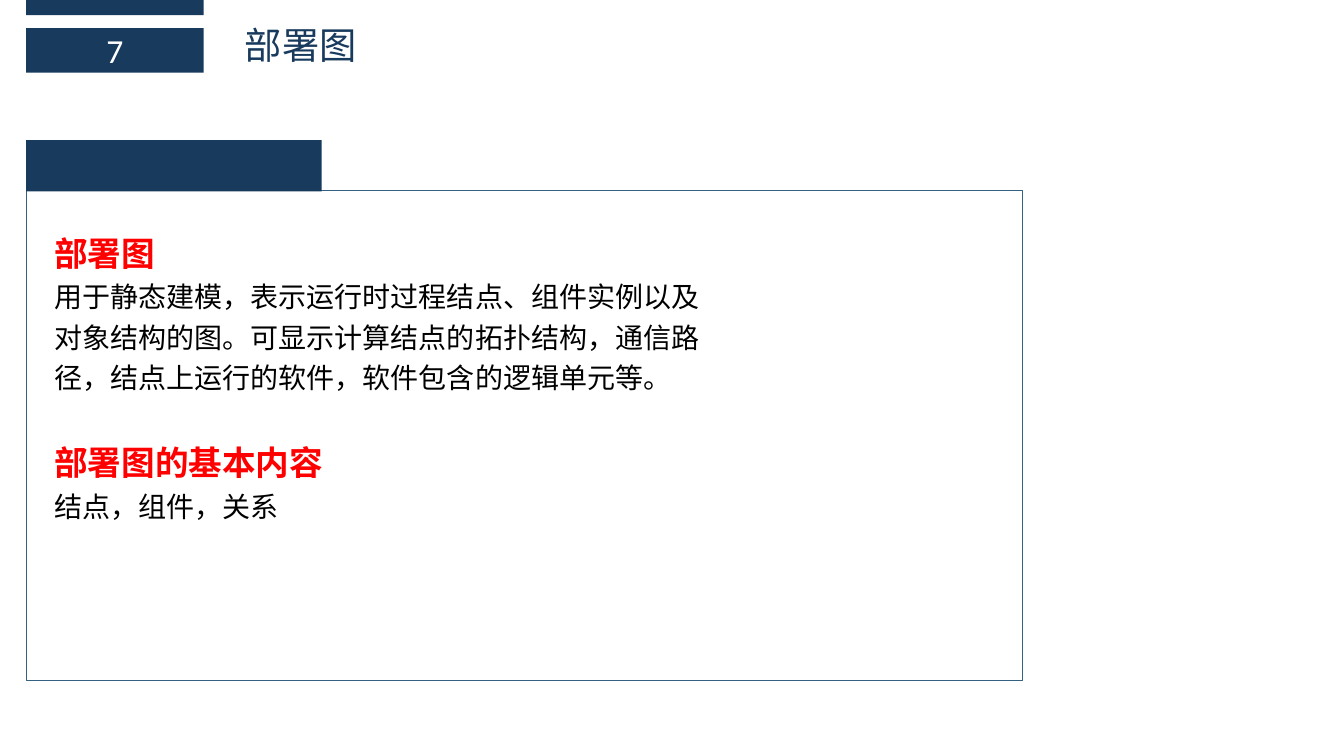
from dataclasses import dataclass

import pptx
import pptx.dml.color
import pptx.enum.shapes
import pptx.enum.text
import pptx.util
from pptx.util import Inches

NAVY = pptx.dml.color.RGBColor(0x18, 0x3A, 0x5D)
FRAME_BLUE = pptx.dml.color.RGBColor(0x34, 0x61, 0x82)
RED = pptx.dml.color.RGBColor(0xFF, 0x00, 0x00)
BLACK = pptx.dml.color.RGBColor(0x00, 0x00, 0x00)
WHITE = pptx.dml.color.RGBColor(0xFF, 0xFF, 0xFF)
LATIN_FONT = "Calibri"
TITLE_FONT = "Noto Sans CJK SC"
LEFT_EDGE = 0.26


@dataclass(frozen=True)
class Box:
    left: float
    top: float
    width: float
    height: float

    def lengths(self) -> tuple[int, int, int, int]:
        return Inches(self.left), Inches(self.top), Inches(self.width), Inches(self.height)


@dataclass(frozen=True)
class Line:
    text: str
    size: float
    color: pptx.dml.color.RGBColor
    font: str = LATIN_FONT
    bold: bool = False
    spacing: float = 1.0
    space_before: float = 0


def heading(text: str, space_before: float = 0) -> Line:
    return Line(text, 24, RED, bold=True, spacing=1.2, space_before=space_before)


def body(text: str) -> Line:
    return Line(text, 20, BLACK, spacing=1.2)


TOP_BAR = Box(LEFT_EDGE, 0, 1.76, 0.15)
NUMBER_BAR = Box(LEFT_EDGE, 0.28, 1.76, 0.44)
FRAME = Box(LEFT_EDGE, 1.89, 9.88, 4.86)
FRAME_TAB = Box(LEFT_EDGE, 1.39, 2.93, 0.51)
TITLE = Box(2.33, 0.17, 6.62, 0.55)
CONTENT = Box(0.44, 2.18, 6.66, 3.09)

CONTENT_LINES = [
    heading("部署图"),
    body("用于静态建模，表示运行时过程结点、组件实例以及对象结构的图。"
         "可显示计算结点的拓扑结构，通信路径，结点上运行的软件，软件包含的逻辑单元等。"),
    heading("部署图的基本内容", space_before=28.5),
    body("结点，组件，关系"),
]


def add_rectangle(slide: pptx.slide.Slide, box: Box) -> pptx.shapes.autoshape.Shape:
    """Add a filled navy rectangle without outline."""
    shape = slide.shapes.add_shape(pptx.enum.shapes.MSO_SHAPE.RECTANGLE, *box.lengths())
    shape.shadow.inherit = False
    shape.fill.solid()
    shape.fill.fore_color.rgb = NAVY
    shape.line.fill.background()
    return shape


def write_lines(frame: pptx.text.text.TextFrame, lines: list[Line]) -> None:
    frame.word_wrap = True
    for index, line in enumerate(lines):
        paragraph = frame.add_paragraph() if index else frame.paragraphs[0]
        paragraph.text = line.text
        paragraph.line_spacing = line.spacing
        paragraph.space_before = pptx.util.Pt(line.space_before)
        paragraph.font.name = line.font
        paragraph.font.size = pptx.util.Pt(line.size)
        paragraph.font.bold = line.bold
        paragraph.font.color.rgb = line.color


def add_text(slide: pptx.slide.Slide, box: Box, lines: list[Line]) -> None:
    text_box = slide.shapes.add_textbox(*box.lengths())
    write_lines(text_box.text_frame, lines)


def main() -> None:
    presentation = pptx.Presentation()
    presentation.slide_width = Inches(13.33)
    presentation.slide_height = Inches(7.5)
    slide = presentation.slides.add_slide(presentation.slide_layouts[6])

    add_rectangle(slide, TOP_BAR)
    number_bar = add_rectangle(slide, NUMBER_BAR)
    write_lines(number_bar.text_frame, [Line("7", 24, WHITE)])
    number_bar.text_frame.vertical_anchor = pptx.enum.text.MSO_ANCHOR.MIDDLE
    number_bar.text_frame.paragraphs[0].alignment = pptx.enum.text.PP_ALIGN.CENTER
    add_text(slide, TITLE, [Line("部署图", 26.6, NAVY, font=TITLE_FONT)])

    content_frame = add_rectangle(slide, FRAME)
    content_frame.fill.background()
    content_frame.line.color.rgb = FRAME_BLUE
    content_frame.line.width = pptx.util.Pt(1)
    add_rectangle(slide, FRAME_TAB)
    add_text(slide, CONTENT, CONTENT_LINES)

    presentation.save("out.pptx")


if __name__ == "__main__":
    main()
